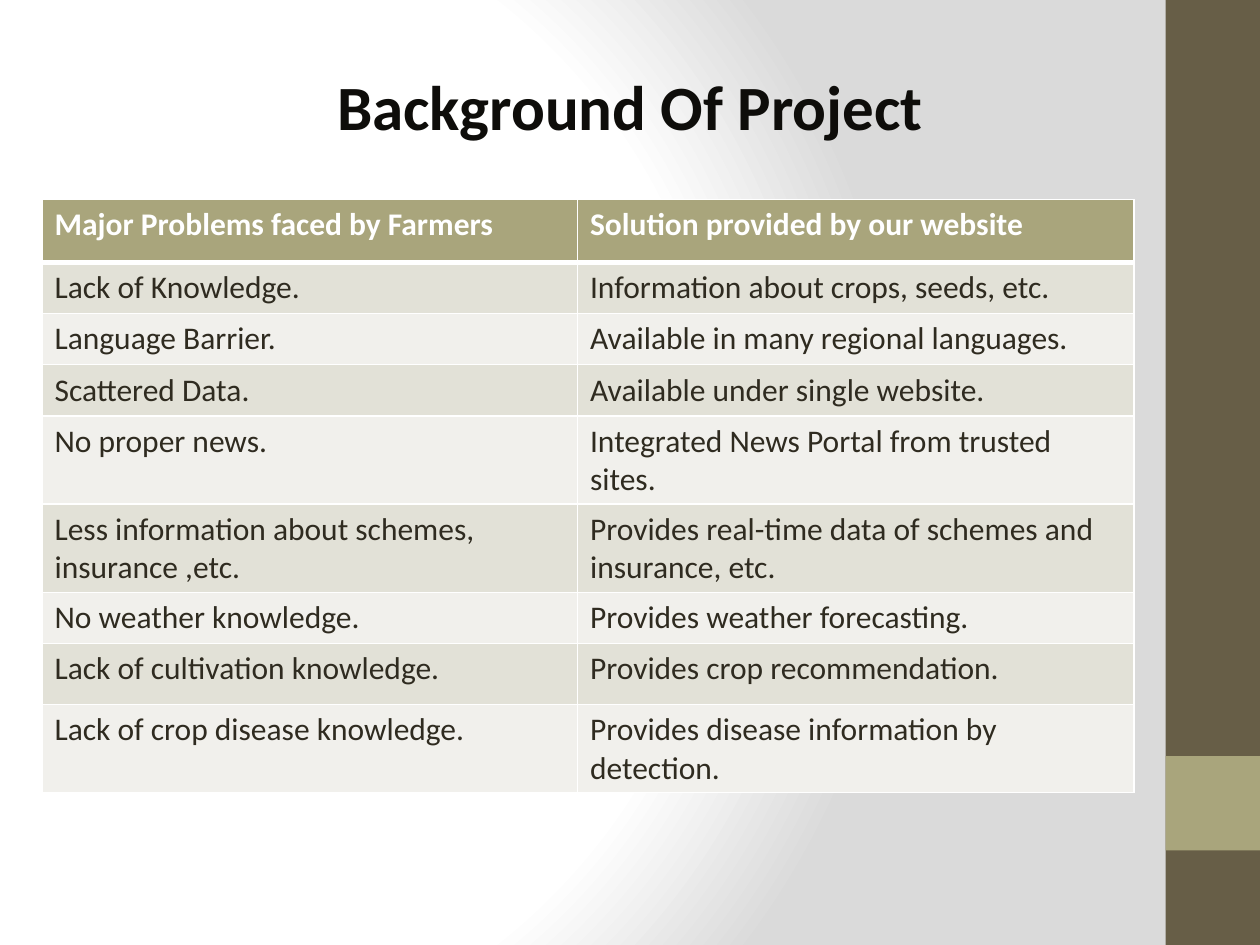
from pptx import Presentation
from pptx.dml.color import RGBColor
from pptx.enum.shapes import MSO_SHAPE
from pptx.enum.text import MSO_ANCHOR, MSO_AUTO_SIZE, PP_ALIGN
from pptx.oxml import parse_xml
from pptx.oxml.ns import nsdecls, qn
from pptx.util import Pt

RECT = MSO_SHAPE.RECTANGLE
CENTER = PP_ALIGN.CENTER
MIDDLE = MSO_ANCHOR.MIDDLE
FIT = MSO_AUTO_SIZE.SHAPE_TO_FIT_TEXT

# Content
TITLE = "Background Of Project"
ROWS = [
    ("Major Problems faced by Farmers", "Solution provided by our website"),
    ("Lack of Knowledge.", "Information about crops, seeds, etc."),
    ("Language Barrier.", "Available in many regional languages."),
    ("Scattered Data.", "Available under single website."),
    ("No proper news.", "Integrated News Portal from trusted sites."),
    ("Less information about schemes, insurance ,etc.",
     "Provides real-time data of schemes and insurance, etc."),
    ("No weather knowledge.", "Provides weather forecasting."),
    ("Lack of cultivation knowledge.", "Provides crop recommendation."),
    ("Lack of crop disease knowledge.", "Provides disease information by detection."),
]

# Style, lengths in points
COLORS = {
    "white": "FFFFFF", "shade": "DADADA", "bar": "675E47", "accent": "A9A57C",
    "title": "0E0D0A", "text": "2F2B20", "odd": "E2E1D7", "even": "F1F0EC",
}
FONTS = {
    "title": {"name": "Calibri", "size": Pt(36), "bold": True},
    "head": {"name": "Calibri", "size": Pt(18), "bold": True},
    "body": {"name": "Calibri", "size": Pt(18), "bold": False},
}
SLIDE_W, SLIDE_H = 720, 540
BAR_W = 54
COL_WIDTHS = [306, 318]
ROW_HEIGHTS = [36] + [29.2] * 6 + [34.8] * 2
TABLE_LEFT, TABLE_TOP = 24, 114


def rgb(name):
    return RGBColor.from_string(COLORS[name])


def write(tf, text, font, color):
    p = tf.paragraphs[0]
    r = p.add_run()
    r.text = text
    for key, value in FONTS[font].items():
        setattr(r.font, key, value)
    r.font.color.rgb = rgb(color)
    return p


def border(cell, side, width):
    line = parse_xml(
        f'<a:{side} {nsdecls("a")} w="{Pt(width)}"><a:solidFill>'
        f'<a:srgbClr val="{COLORS["white"]}"/></a:solidFill></a:{side}>')
    tc_pr = cell._tc.get_or_add_tcPr()
    tc_pr.insert(len(tc_pr) - 1, line)  # borders come before the fill


prs = Presentation()
prs.slide_width, prs.slide_height = Pt(SLIDE_W), Pt(SLIDE_H)
s = prs.slides.add_slide(prs.slide_layouts[5])

# Background: radial gradient
stops = [(0, "white"), (75, "white"), (100, "shade")]
stop_xml = "".join(
    f'<a:gs pos="{pos * 1000}"><a:srgbClr val="{COLORS[name]}"/></a:gs>'
    for pos, name in stops)
gradient = parse_xml(
    f'<a:gradFill {nsdecls("a")} rotWithShape="1"><a:gsLst>{stop_xml}</a:gsLst>'
    '<a:path path="circle"><a:fillToRect l="20000" t="50000" r="100000" b="50000"/>'
    '</a:path></a:gradFill>')
s.background.fill.solid()
bg_pr = s._element.find(".//" + qn("p:bgPr"))
bg_pr.replace(bg_pr[0], gradient)

# Side bar and its accent square
for top, height, color in [(0, SLIDE_H, "bar"), (432, BAR_W, "accent")]:
    sp = s.shapes.add_shape(RECT, Pt(SLIDE_W - BAR_W), Pt(top), Pt(BAR_W), Pt(height))
    sp.shadow.inherit = False
    sp.fill.solid()
    sp.fill.fore_color.rgb = rgb(color)
    sp.line.fill.background()

# Title
title = s.shapes.title
title.left, title.top, title.width, title.height = Pt(183.6), Pt(34.6), Pt(352.8), Pt(51)
tf = title.text_frame
tf.word_wrap, tf.auto_size, tf.vertical_anchor = False, FIT, MIDDLE
write(tf, TITLE, "title", "title").alignment = CENTER

# Table
table = s.shapes.add_table(
    len(ROWS), len(COL_WIDTHS), Pt(TABLE_LEFT), Pt(TABLE_TOP),
    Pt(sum(COL_WIDTHS)), Pt(sum(ROW_HEIGHTS))).table
for column, width in zip(table.columns, COL_WIDTHS):
    column.width = Pt(width)
for i, (texts, height) in enumerate(zip(ROWS, ROW_HEIGHTS)):
    table.rows[i].height = Pt(height)
    if i == 0:
        fill, font, color = "accent", "head", "white"
    else:
        fill, font, color = ("odd" if i % 2 else "even"), "body", "text"
    for j, text in enumerate(texts):
        cell = table.cell(i, j)
        cell.fill.solid()
        cell.fill.fore_color.rgb = rgb(fill)
        write(cell.text_frame, text, font, color)
        widths = {"lnL": 1, "lnR": 1, "lnT": 3 if i == 1 else 1, "lnB": 3 if i == 0 else 1}
        for side, width in widths.items():
            border(cell, side, width)

prs.save("out.pptx")
